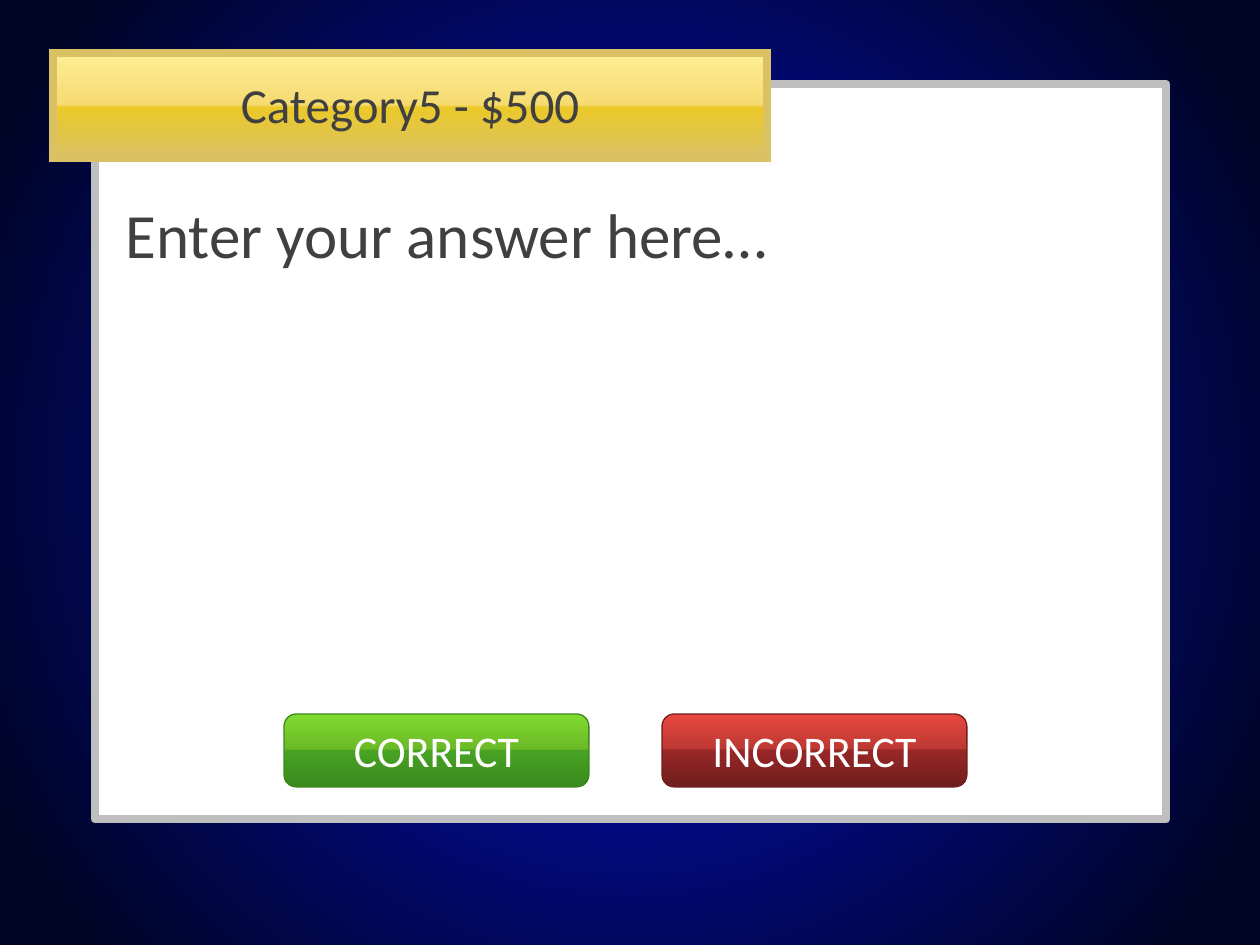
from pptx import Presentation
from pptx.dml.color import RGBColor
from pptx.enum.shapes import MSO_SHAPE as Shape
from pptx.enum.text import MSO_ANCHOR as Anchor, PP_ALIGN as Align
from pptx.oxml import parse_xml
from pptx.oxml.ns import nsdecls, qn
from pptx.util import Pt

EMU_PER_PX = 914400 / 126
TITLE_ONLY = 5

COLORS = {
    "text": "404040",
    "white": "FFFFFF",
    "frame": "BFBFBF",
    "gold": "D9C164",
    "green": "3B891D",
    "red": "6F1D1D",
}
BACKDROP = [(0, "030DD3"), (91, "000525")]
GOLD = [(0, "FDED95"), (49, "F6DB71"), (52, "EBC929"), (100, COLORS["gold"])]
GREEN = [(0, "80DC2F"), (48, "6CB927"), (50, "48A323"), (100, COLORS["green"])]
RED = [(0, "E9473F"), (47, "BD3933"), (50, "982727"), (100, COLORS["red"])]

DOWNWARD = '<a:lin ang="5400000" scaled="0"/>'
RADIAL = (
    '<a:path path="circle">'
    '<a:fillToRect l="50000" t="50000" r="50000" b="50000"/></a:path>'
)


def px(length):
    return round(length * EMU_PER_PX)


class QuizSlide:
    font_name = "Calibri"

    def __init__(self, deck):
        self.slide = deck.slides.add_slide(deck.slide_layouts[TITLE_ONLY])

    def set_text(self, holder, text, size, color, align, anchor, wrap=True):
        frame = holder.text_frame
        frame.word_wrap = wrap
        frame.vertical_anchor = anchor
        frame.text = text
        paragraph = frame.paragraphs[0]
        paragraph.alignment = align
        style = {"name": self.font_name, "size": Pt(size), "bold": False}
        for attribute, value in style.items():
            setattr(paragraph.font, attribute, value)
        paragraph.font.color.rgb = RGBColor.from_string(COLORS[color])

    def gradient(self, shape, stops, direction):
        shape.fill.background()
        stop_xml = "".join(
            f'<a:gs pos="{percent * 1000}"><a:srgbClr val="{color}"/></a:gs>'
            for percent, color in stops
        )
        gradient_fill = parse_xml(
            f'<a:gradFill {nsdecls("a")} rotWithShape="1">'
            f"<a:gsLst>{stop_xml}</a:gsLst>{direction}</a:gradFill>"
        )
        properties = shape.element.spPr
        properties.replace(properties.find(qn("a:noFill")), gradient_fill)

    def panel(self, box, fill, line=None, width=0, kind=Shape.RECTANGLE,
              direction=DOWNWARD):
        shape = self.slide.shapes.add_shape(kind, *map(px, box))
        shape.shadow.inherit = False
        if isinstance(fill, list):
            self.gradient(shape, fill, direction)
        else:
            shape.fill.solid()
            shape.fill.fore_color.rgb = RGBColor.from_string(COLORS[fill])
        if line:
            shape.line.color.rgb = RGBColor.from_string(COLORS[line])
            shape.line.width = Pt(width)
        else:
            shape.line.fill.background()
        return shape

    def banner(self, box, fill, line, width):
        shape = self.panel(box, fill, line, width)
        miter = parse_xml(f'<a:miter {nsdecls("a")} lim="800000"/>')
        shape.element.spPr.find(qn("a:ln")).append(miter)

    def title(self, box, text, size):
        heading = self.slide.shapes.title
        for side, length in zip(("left", "top", "width", "height"), box):
            setattr(heading, side, px(length))
        self.set_text(heading, text, size, "text", Align.CENTER, Anchor.MIDDLE)
        heading.element.getparent().append(heading.element)

    def answer(self, box, text, size):
        answer_area = self.slide.shapes.add_textbox(*map(px, box))
        self.set_text(answer_area, text, size, "text", Align.LEFT, Anchor.TOP)

    def button(self, box, label, fill, line):
        shape = self.panel(box, fill, line, 0.75, Shape.ROUNDED_RECTANGLE)
        shape.adjustments[0] = 0.17
        self.set_text(shape, label, 25, "white", Align.CENTER, Anchor.MIDDLE, False)


def main():
    deck = Presentation()
    deck.slide_width, deck.slide_height = px(1260), px(945)
    quiz = QuizSlide(deck)

    quiz.panel((0, 0, 1260, 945), BACKDROP, direction=RADIAL)
    quiz.panel((95, 84, 1071, 735), "white", "frame", 5)
    quiz.banner((53, 53, 714, 105), GOLD, "gold", 4.5)
    quiz.title((53, 50, 714, 107), "Category5 - $500", 28)
    quiz.answer((113, 189, 1029, 357), "Enter your answer here…", 36)

    verdicts = [("CORRECT", GREEN, "green"), ("INCORRECT", RED, "red")]
    for column, (label, fill, line) in enumerate(verdicts):
        quiz.button((284 + column * 378, 714, 305, 73), label, fill, line)

    deck.save("out.pptx")


if __name__ == "__main__":
    main()
